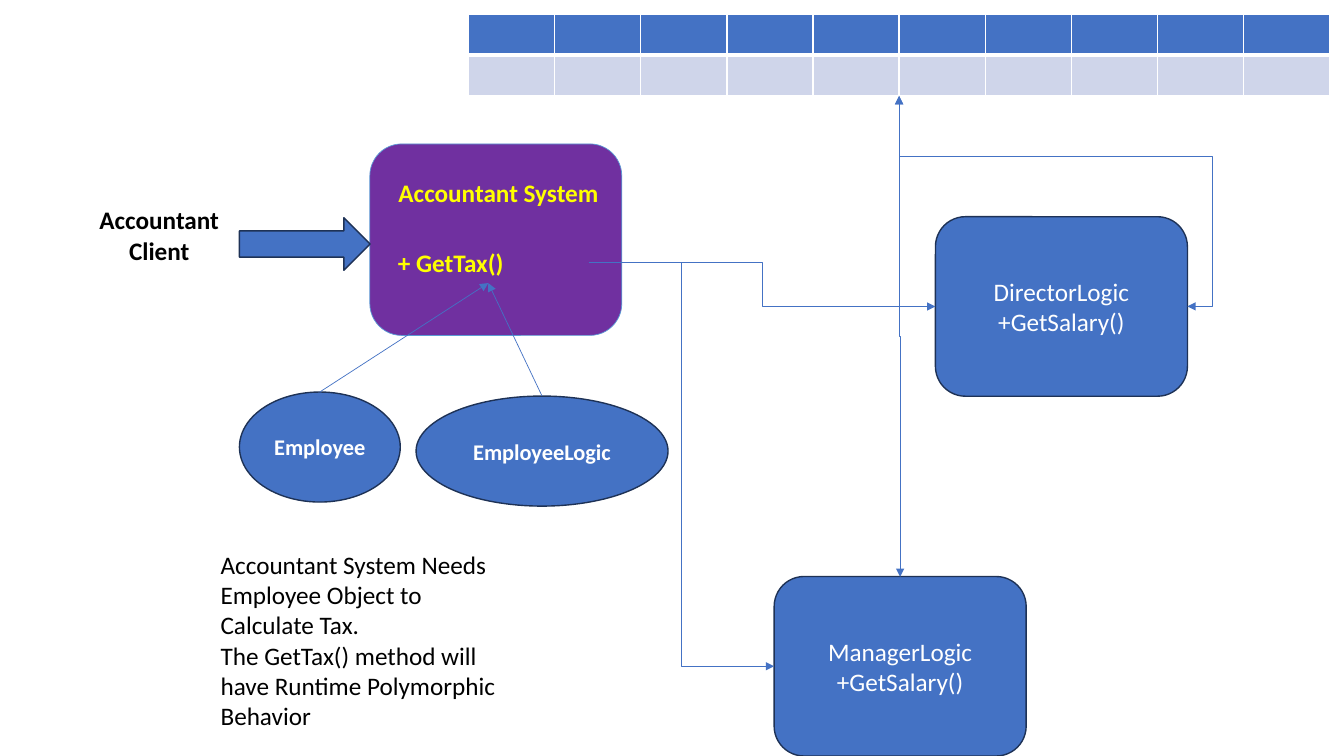
from dataclasses import dataclass

from lxml.etree import SubElement
from pptx import Presentation
from pptx.dml.color import RGBColor
from pptx.enum.shapes import MSO_CONNECTOR as Connector, MSO_SHAPE as Shape
from pptx.enum.text import MSO_ANCHOR as Anchor, PP_ALIGN as Align
from pptx.oxml.ns import qn
from pptx.util import Pt


@dataclass
class Theme:
    font: str = "Calibri"
    body: int = 18
    label: int = 16
    blue: str = "4472C4"
    navy: str = "1E3256"
    purple: str = "7030A0"
    sky: str = "5B9BD5"
    pale: str = "CFD5EA"
    yellow: str = "FFFF00"
    white: str = "FFFFFF"
    black: str = "000000"


theme = Theme()
color = RGBColor.from_string

deck = Presentation()
deck.slide_width, deck.slide_height = Pt(960), Pt(540)
page = deck.slides.add_slide(deck.slide_layouts[6])


def add_block(kind, bounds, lines, ink, size=theme.body, bold=False, align=Align.CENTER,
              fill=theme.blue, edge=theme.navy, weight=1):
    place = [Pt(length) for length in bounds]
    if kind is None:
        block = page.shapes.add_textbox(*place)
    else:
        block = page.shapes.add_shape(kind, *place)
        block.shadow.inherit = False
        block.fill.solid()
        block.fill.fore_color.rgb = color(fill)
        block.line.color.rgb = color(edge)
        block.line.width = Pt(weight)
    frame = block.text_frame
    frame.word_wrap = True
    frame.vertical_anchor = Anchor.TOP if kind is None else Anchor.MIDDLE
    for index, line in enumerate(lines):
        para = frame.add_paragraph() if index else frame.paragraphs[0]
        para.text = line
        para.alignment = align
        para.font.name = theme.font
        para.font.size = Pt(size)
        para.font.bold = bold
        para.font.color.rgb = color(ink)
    return block


def add_arrow(kind, ends, arrowheads=("tailEnd",)):
    arrow = page.shapes.add_connector(kind, *[Pt(length) for length in ends])
    arrow.line.color.rgb = color(theme.blue)
    arrow.line.width = Pt(0.5)
    for arrowhead in arrowheads:
        SubElement(arrow.line._get_or_add_ln(), qn(f"a:{arrowhead}"), type="triangle")
    SubElement(arrow._element.spPr, qn("a:effectLst"))
    return arrow


for left, top, name in [(668.2, 154.8, "DirectorLogic"), (553, 411.8, "ManagerLogic")]:
    add_block(Shape.ROUNDED_RECTANGLE, (left, top, 180, 128.2),
              [name, "+GetSalary()"], theme.white)

add_block(Shape.ROUNDED_RECTANGLE, (264.2, 102.8, 180, 136.8), [], theme.white,
          fill=theme.purple, edge=theme.sky, weight=0.5)
add_block(None, (43.9, 142.6, 139.7, 51), ["Accountant Client"], theme.black, bold=True)
add_block(Shape.RIGHT_ARROW, (171, 155.5, 93.4, 37.6), [], theme.white)
add_block(None, (277.2, 123.1, 157.7, 29), ["Accountant System"], theme.yellow, bold=True)
get_tax = add_block(None, (277.2, 173.2, 143.2, 29), ["+ GetTax()"], theme.yellow,
                    bold=True, align=Align.LEFT)
employee = add_block(Shape.OVAL, (171, 280, 114.9, 78.6), ["Employee"], theme.white,
                     size=theme.label, bold=True)
add_block(None, (150.5, 388.8, 228.2, 138.2),
          ["Accountant System Needs Employee Object to Calculate Tax.",
           "The GetTax() method will have Runtime Polymorphic Behavior"],
          theme.black, align=Align.LEFT)
employee_logic = add_block(Shape.OVAL, (297.2, 282.9, 180, 78.6), ["EmployeeLogic"],
                           theme.white, size=theme.label, bold=True)

for source in (employee, employee_logic):
    arrow = add_arrow(Connector.STRAIGHT, (0, 0, 10, 10))
    arrow.begin_connect(source, 0)
    arrow.end_connect(get_tax, 2)

for end in [(668.2, 218.9), (553, 475.9)]:
    add_arrow(Connector.ELBOW, (420.4, 187.7, *end))

columns = 10
table = page.shapes.add_table(2, columns, Pt(334.8), Pt(10.2), Pt(615), Pt(58.4)).table
for column in table.columns:
    column.width = Pt(61.5)
for row, fill, bottom in zip(table.rows, (theme.blue, theme.pale), (3, 1)):
    row.height = Pt(29.2)
    for cell in row.cells:
        properties = cell._tc.get_or_add_tcPr()
        top = 3 if fill == theme.pale else 1
        for side, weight in zip("LRTB", (1, 1, top, bottom)):
            border = SubElement(properties, qn(f"a:ln{side}"), w=str(Pt(weight)))
            SubElement(SubElement(border, qn("a:solidFill")), qn("a:srgbClr"), val=theme.white)
        cell.fill.solid()
        cell.fill.fore_color.rgb = color(fill)

both_ends = ("headEnd", "tailEnd")
manager_link = add_arrow(Connector.ELBOW, (470.9, 240.8, 814.3, 240.1), both_ends)
manager_link._element.spPr.find(qn("a:xfrm")).set("rot", str(270 * 60000))

director_link = add_arrow(Connector.ELBOW, (848.2, 218.9, 642.3, 68.6), both_ends)
geometry = director_link._element.spPr.find(qn("a:prstGeom"))
geometry.set("prst", "bentConnector4")
guides = geometry.find(qn("a:avLst"))
for name, value in [("adj1", -8700), ("adj2", 71200)]:
    SubElement(guides, qn("a:gd"), name=name, fmla=f"val {value}")

deck.save("out.pptx")
